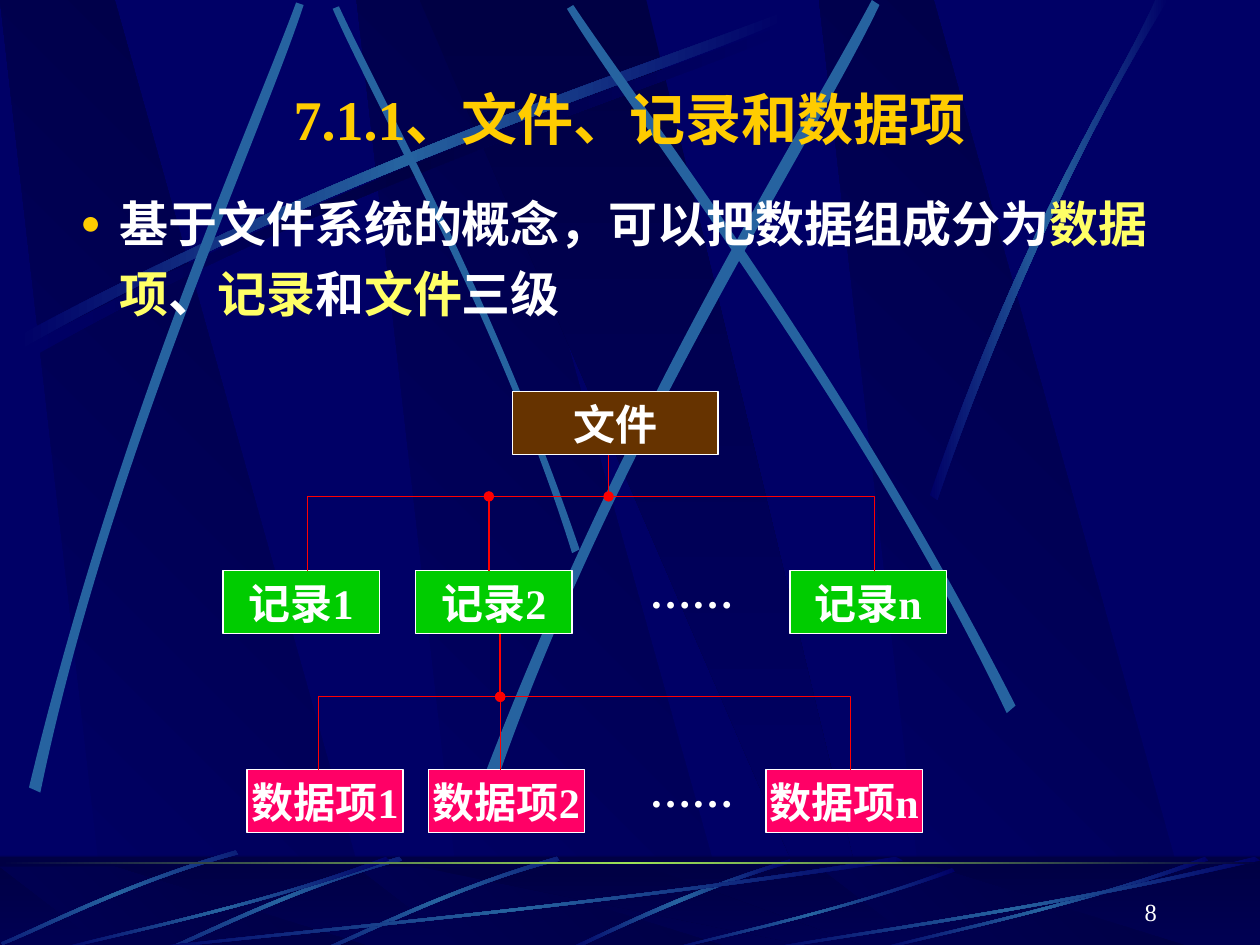
from math import cos, radians, sin

from lxml.etree import SubElement
from pptx import Presentation
from pptx.dml.color import RGBColor
from pptx.enum.shapes import MSO_CONNECTOR, MSO_SHAPE
from pptx.enum.text import MSO_ANCHOR, PP_ALIGN
from pptx.oxml import parse_xml
from pptx.oxml.ns import nsdecls, qn
from pptx.util import Inches, Pt

NAVY, DARK, STEEL = "000066", "000044", "2663A0"
WHITE, GOLD, YELLOW, RED = "FFFFFF", "FFCC00", "FFFF66", "FF0000"
GLOW = [(0, NAVY), (50, STEEL), (100, NAVY)]
LATIN, HAN = "Times New Roman", "Montserrat"

# Each ribbon is two cubic curves, out and back: four points each.
LONG_RIBBON = [(0.14, 2.67), (2.78, 1.25), (5.18, 0.51), (6.2, 0.1),
               (6.23, 0.16), (5.22, 0.61), (2.48, 1.43), (0.17, 2.77)]
RIGHT_RIBBON = [(7.38, 3.93), (8.14, 1.73), (8.88, 0.66), (9.17, 0),
                (9.27, 0), (8.36, 1.45), (7.69, 3.22), (7.44, 3.97)]
TILTED_RIBBONS = [
    (45, [(4.6, 4.36), (3.91, 2.34), (3.02, 0.77), (2.69, 0.05),
          (2.64, 0.07), (2.95, 0.79), (3.98, 2.58), (4.54, 4.39)]),
    (311.7, [(0.23, 6.25), (0.93, 3.34), (1.97, 1.05), (2.35, 0.02),
             (2.41, 0.04), (2.07, 1.08), (0.86, 3.68), (0.32, 6.29)]),
    (321.6, [(3.85, 6.14), (4.98, 3.2), (6.38, 1.02), (6.92, 0),
             (6.98, 0.04), (6.49, 1.08), (4.86, 3.55), (3.94, 6.21)]),
    (34.8, [(8.06, 5.6), (6.7, 2.93), (5.16, 0.95), (4.55, 0.04),
            (4.5, 0.07), (5.07, 1.01), (6.85, 3.25), (7.99, 5.66)]),
]
SHORT_RIBBON = [(1.87, 6.8), (1, 7.05), (0.32, 7.4), (0.01, 7.53),
                (0.02, 7.55), (0.33, 7.43), (1.1, 7.03), (1.89, 6.83)]
FLOOR_RIBBON = [(6.27, 6.82), (5.37, 7.09), (4.77, 7.42), (4.48, 7.54),
                (4.53, 7.55), (4.9, 7.37), (5.71, 7), (6.28, 6.85)]
# Shares of width and height
SWEEP = [(1, 0.04), (0.57, 0.57), (0.17, 0.85), (0.01, 1),
         (0, 0.99), (0.17, 0.81), (0.62, 0.51), (0.99, 0)]


def color(value):
    return RGBColor.from_string(value)


def format_with(target, values):
    for name, value in values.items():
        setattr(target, name, value)


def paint(shape, stops, angle=0):
    """Fill with a linear gradient of (percent, colour) stops."""
    marks = "".join(f'<a:gs pos="{percent * 1000}"><a:srgbClr val="{value}"/></a:gs>'
                    for percent, value in stops)
    shape.fill.background()
    properties = shape._element.spPr
    empty = properties.find(qn("a:noFill"))
    properties.replace(empty, parse_xml(
        f'<a:gradFill rotWithShape="1" {nsdecls("a")}><a:gsLst>{marks}</a:gsLst>'
        f'<a:lin ang="{angle * 60000}" scaled="0"/></a:gradFill>'))


def solid(shape, value):
    shape.fill.solid()
    shape.fill.fore_color.rgb = color(value)


def add_outline(page, points, close=True):
    corners = [(Inches(x), Inches(y)) for x, y in points]
    builder = page.shapes.build_freeform(*corners[0], scale=1.0)
    builder.add_line_segments(corners[1:], close=close)
    shape = builder.convert_to_shape()
    shape.shadow.inherit = False
    shape.line.fill.background()
    return shape


def turn(x, y, degrees):
    angle = radians(degrees)
    return x * cos(angle) - y * sin(angle), x * sin(angle) + y * cos(angle)


def bend(shape):
    """Turn the lines out and back into two cubic curves."""
    lines = shape._element.findall(".//" + qn("a:lnTo"))
    for group in (lines[:3], lines[4:7]):
        cubic = parse_xml(f'<a:cubicBezTo {nsdecls("a")}/>')
        group[0].addprevious(cubic)
        for line in group:
            cubic.append(line[0])
            line.getparent().remove(line)


def add_ribbon(page, points, stops=None, dx=0, dy=0, tilt=0):
    placed = [(x + dx, y + dy) for x, y in points]
    ribbon = add_outline(page, [turn(x, y, -tilt) for x, y in placed])
    bend(ribbon)
    if tilt:
        center = turn(ribbon.left + ribbon.width / 2, ribbon.top + ribbon.height / 2, tilt)
        format_with(ribbon, {"left": int(center[0] - ribbon.width / 2),
                             "top": int(center[1] - ribbon.height / 2), "rotation": tilt})
    if stops:
        paint(ribbon, stops)
    else:
        solid(ribbon, STEEL)


def add_band(page, top, height):
    band = page.shapes.add_shape(MSO_SHAPE.RECTANGLE, 0, Inches(top), Inches(10), Inches(height))
    band.shadow.inherit = False
    band.line.fill.background()
    return band


def add_panels(page, top, height):
    for left in (2.83, 0, 6.5):
        panel = add_outline(page, [(left + 0.86, top + height), (left + 3.02, top + height),
                                   (left + 0.91, top), (left, top)])
        paint(panel, [(0, NAVY), (100, DARK)], 315)
    middle = add_outline(page, [(3.33, top), (6.58, top + height), (6.94, top + height),
                                (5.13, top)])
    paint(middle, [(0, DARK), (100, NAVY)], 90)


def add_backdrop(page):
    solid(page.background, NAVY)
    add_panels(page, 0, 7.52)
    add_ribbon(page, LONG_RIBBON, [(0, NAVY), (50, DARK), (100, NAVY)], 0.06, 0.08)
    add_ribbon(page, LONG_RIBBON, GLOW)
    for tilt, points in TILTED_RIBBONS:
        add_ribbon(page, points, tilt=tilt)
    add_ribbon(page, RIGHT_RIBBON, GLOW)

    paint(add_band(page, 6.8, 0.75), [(0, DARK), (100, NAVY)], 90)
    add_panels(page, 6.88, 0.66)
    veil = add_band(page, 6.79, 0.75)
    solid(veil, DARK)
    SubElement(veil._element.spPr.find(".//" + qn("a:srgbClr")), qn("a:alpha"), val="50000")
    add_ribbon(page, FLOOR_RIBBON, GLOW)
    for dx, dy in ((2.55, 0), (1.3, 0), (0, -0.05)):
        add_ribbon(page, SHORT_RIBBON, GLOW, dx, dy, 314.9)
    for left, top, width in ((1, 6.8, 6.17), (0.42, 6.8, 2.67), (5.27, 6.89, 2.31),
                             (6.92, 6.8, 2.67), (6, 6.8, 4)):
        add_ribbon(page, [(left + x * width, top + y * (7.55 - top)) for x, y in SWEEP], GLOW)
    paint(add_band(page, 6.84, 0.02), [(0, DARK), (50, "9CE157"), (100, DARK)])


def add_span(para, text, size, value=WHITE, latin=LATIN, bold=True):
    span = para.add_run()
    span.text = text
    format_with(span.font, {"size": Pt(size), "bold": bold, "name": latin})
    span.font.color.rgb = color(value)
    properties = span._r.get_or_add_rPr()
    properties.set("lang", "zh-CN")
    properties.find(qn("a:latin")).addnext(
        parse_xml(f'<a:ea typeface="{HAN}" {nsdecls("a")}/>'))


def add_text(page, at, text, anchor=MSO_ANCHOR.TOP, **span_format):
    box = page.shapes.add_textbox(*map(Inches, at))
    format_with(box.text_frame, {"word_wrap": True, "vertical_anchor": anchor})
    para = box.text_frame.paragraphs[0]
    para.alignment = PP_ALIGN.RIGHT
    add_span(para, text, **span_format)


def add_title(page):
    title = page.shapes.title
    format_with(title, dict(zip(("left", "top", "width", "height"),
                                map(Inches, (0.75, 0.62, 8.5, 0.63)))))
    title.text_frame.vertical_anchor = MSO_ANCHOR.MIDDLE
    para = title.text_frame.paragraphs[0]
    para.alignment = PP_ALIGN.CENTER
    add_span(para, "7.1.1、", 32, GOLD)
    add_span(para, "文件、记录和数据项", 32, GOLD, HAN)
    page.shapes._spTree.append(title._element)  # in front of the backdrop


def add_summary(page):
    box = page.shapes.add_textbox(*map(Inches, (0.04, 1.39, 9.75, 1.38)))
    format_with(box.text_frame, {"word_wrap": True, "margin_right": Inches(0.4)})
    para = box.text_frame.paragraphs[0]
    format_with(para, {"line_spacing": 1.2, "space_before": Pt(7)})
    properties = para._p.get_or_add_pPr()
    properties.set("marL", str(Inches(0.81)))
    properties.set("indent", str(Inches(-0.31)))
    SubElement(SubElement(properties, qn("a:buClr")), qn("a:srgbClr"), val=GOLD)
    SubElement(properties, qn("a:buSzPct"), val="70000")
    SubElement(properties, qn("a:buFont"), typeface="Arial")
    SubElement(properties, qn("a:buChar"), char="●")
    for text, value in (("基于文件系统的概念，可以把数据组成分为", WHITE), ("数据项", YELLOW),
                        ("、", WHITE), ("记录", YELLOW), ("和", WHITE), ("文件", YELLOW),
                        ("三级", WHITE)):
        add_span(para, text, 28, value, "Arial")


def add_node(page, left, top, text, fill, width=1.24):
    node = page.shapes.add_shape(MSO_SHAPE.RECTANGLE, *map(Inches, (left, top, width, 0.5)))
    node.shadow.inherit = False
    solid(node, fill)
    format_with(node.line, {"width": Pt(0.75)})
    node.line.color.rgb = color(WHITE)
    format_with(node.text_frame, {"word_wrap": False, "vertical_anchor": MSO_ANCHOR.MIDDLE})
    para = node.text_frame.paragraphs[0]
    para.alignment = PP_ALIGN.CENTER
    add_span(para, text, 24)


def add_stem(page, x, top, bottom, dot, width):
    """Vertical line with a dot at its headEnd (top) or tailEnd (bottom)."""
    stem = page.shapes.add_connector(MSO_CONNECTOR.STRAIGHT,
                                     *map(Inches, (x, top, x, bottom)))
    stem.line.color.rgb = color(RED)
    stem.line.width = Pt(width)
    SubElement(stem.line._get_or_add_ln(), qn("a:" + dot), type="oval")
    SubElement(stem._element.spPr, qn("a:effectLst"))


def add_branch(page, left, right, trunk, twig, parent_bottom, rail, child_top):
    add_stem(page, trunk, parent_bottom, rail, "tailEnd", 1)
    bracket = add_outline(page, [(left, child_top), (left, rail), (right, rail),
                                 (right, child_top)], close=False)
    bracket.fill.background()
    bracket.line.color.rgb = color(RED)
    bracket.line.width = Pt(0.75)
    add_stem(page, twig, rail, child_top, "headEnd", 0.75)


def main():
    deck = Presentation()
    format_with(deck, {"slide_width": Inches(10), "slide_height": Inches(7.5)})
    page = deck.slides.add_slide(deck.slide_layouts[5])
    add_backdrop(page)
    add_title(page)
    add_summary(page)
    add_node(page, 4.07, 3.11, "文件", "663300", 1.63)
    for name, top, lefts, fill in (("记录", 4.53, (1.77, 3.3, 6.27), "00CC00"),
                                   ("数据项", 6.11, (1.96, 3.4, 6.08), "FF0066")):
        for left, index in zip(lefts, "12n"):
            add_node(page, left, top, name + index, fill)
        add_text(page, (5.02, top - 0.08, 0.9, 0.5), "……", size=24)
    add_branch(page, 2.44, 6.94, 4.83, 3.88, 3.61, 3.94, 4.53)
    add_branch(page, 2.53, 6.75, 3.97, 3.97, 5.03, 5.53, 6.11)
    add_text(page, (7.2, 6.9, 2.08, 0.5), "8", MSO_ANCHOR.BOTTOM, size=14, bold=False)
    deck.save("out.pptx")


if __name__ == "__main__":
    main()
